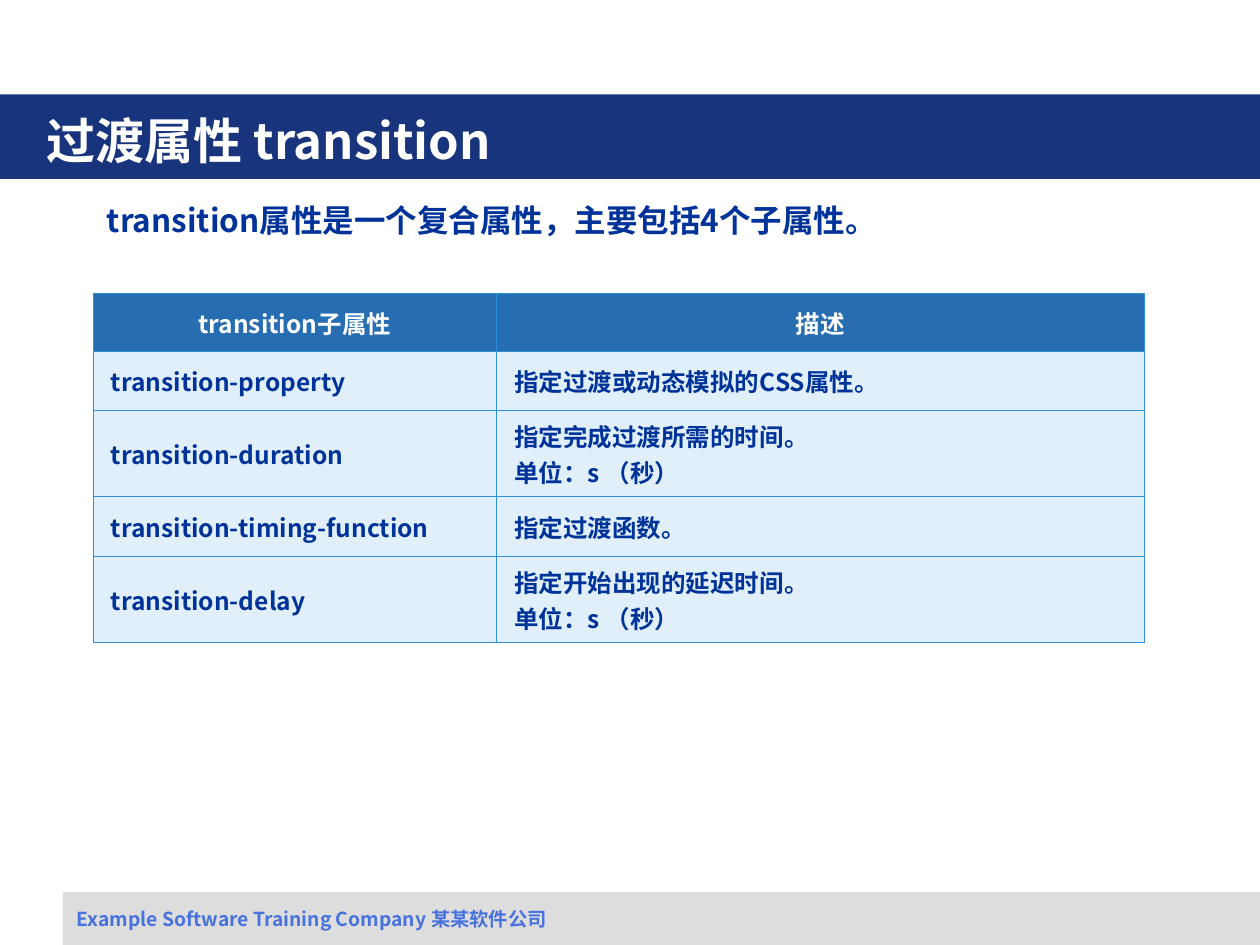
from dataclasses import dataclass

from lxml import etree
from pptx import Presentation
from pptx import util as u
from pptx.dml.color import RGBColor
from pptx.enum import shapes, text
from pptx.oxml.ns import qn


@dataclass(frozen=True)
class Theme:
    font: str = "Noto Sans CJK SC"
    white: str = "FFFFFF"
    band: str = "17347D"
    footer_bar: str = "DDDDDD"
    footer_ink: str = "4872DD"
    ink: str = "003399"
    header: str = "266EB1"
    body: str = "C3E0F5"
    border: str = "2D90DA"
    title_size: int = 28
    lead_size: int = 18
    table_size: int = 14
    footer_size: int = 11


THEME = Theme()
PROPERTIES = [
    ("transition子属性", "描述"),
    ("transition-property", "指定过渡或动态模拟的CSS属性。"),
    ("transition-duration", "指定完成过渡所需的时间。\n单位：s （秒）"),
    ("transition-timing-function", "指定过渡函数。"),
    ("transition-delay", "指定开始出现的延迟时间。\n单位：s （秒）"),
]
COLUMN_WIDTHS = [3.2, 5.14]
ROW_HEIGHTS = [0.46, 0.47, 0.68, 0.48, 0.68]


def place(left, top, width, height):
    return [u.Inches(n) for n in (left, top, width, height)]


def write(frame, words, size, color, align=text.PP_ALIGN.LEFT):
    frame.text = words
    frame.word_wrap = True
    for paragraph in frame.paragraphs:
        paragraph.alignment = align
        for run in paragraph.runs:
            run.font.size = u.Pt(size)
            run.font.bold = True
            run.font.name = THEME.font
            run.font.color.rgb = RGBColor.from_string(color)
            east_asian = etree.SubElement(run.font._element, qn("a:ea"))
            east_asian.set("typeface", THEME.font)


def add_bar(slide, box, color):
    bar = slide.shapes.add_shape(shapes.MSO_SHAPE.RECTANGLE, *place(*box))
    bar.shadow.inherit = False
    bar.fill.solid()
    bar.fill.fore_color.rgb = RGBColor.from_string(color)
    bar.line.fill.background()
    return bar


def set_title(slide, band, words):
    title = slide.shapes.title
    title.left, title.top, title.width, title.height = place(0.27, 0.8, 8.26, 0.62)
    band._element.addnext(title._element)
    title.text_frame.vertical_anchor = text.MSO_ANCHOR.MIDDLE
    write(title.text_frame, words, THEME.title_size, THEME.white)


def add_text(slide, box, words, size, color):
    label = slide.shapes.add_textbox(*place(*box))
    write(label.text_frame, words, size, color)


def style_cell(cell, color, alpha=100):
    cell.fill.solid()
    cell.fill.fore_color.rgb = RGBColor.from_string(color)
    cell.vertical_anchor = text.MSO_ANCHOR.MIDDLE
    properties = cell._tc.get_or_add_tcPr()
    if alpha < 100:
        tint = properties.find(".//" + qn("a:srgbClr"))
        etree.SubElement(tint, qn("a:alpha")).set("val", str(alpha * 1000))
    for position, side in enumerate(("lnL", "lnR", "lnT", "lnB")):
        edge = etree.Element(qn("a:" + side), w=str(u.Pt(0.45)))
        fill = etree.SubElement(edge, qn("a:solidFill"))
        etree.SubElement(fill, qn("a:srgbClr")).set("val", THEME.border)
        properties.insert(position, edge)


def add_property_table(slide):
    box = place(0.74, 2.33, sum(COLUMN_WIDTHS), sum(ROW_HEIGHTS))
    table = slide.shapes.add_table(len(PROPERTIES), len(COLUMN_WIDTHS), *box).table
    for column, width in zip(table.columns, COLUMN_WIDTHS):
        column.width = u.Inches(width)
    for index, (row, entries) in enumerate(zip(table.rows, PROPERTIES)):
        row.height = u.Inches(ROW_HEIGHTS[index])
        for cell, words in zip(row.cells, entries):
            if index == 0:
                style_cell(cell, THEME.header)
                write(cell.text_frame, words, THEME.table_size, THEME.white,
                      text.PP_ALIGN.CENTER)
            else:
                style_cell(cell, THEME.body, alpha=50)
                cell.margin_left = u.Inches(0.14)
                write(cell.text_frame, words, THEME.table_size, THEME.ink)


def main():
    deck = Presentation()
    deck.slide_width, deck.slide_height = u.Inches(10), u.Inches(7.5)
    slide = deck.slides.add_slide(deck.slide_layouts[5])
    add_bar(slide, (0.5, 7.08, 9.5, 0.42), THEME.footer_bar)
    band = add_bar(slide, (0, 0.75, 10, 0.67), THEME.band)
    set_title(slide, band, "过渡属性 transition")
    add_text(slide, (0.51, 7.15, 9.13, 0.29),
             "Example Software Training Company 某某软件公司",
             THEME.footer_size, THEME.footer_ink)
    add_text(slide, (0.75, 1.55, 8.23, 1.07),
             "transition属性是一个复合属性，主要包括4个子属性。",
             THEME.lead_size, THEME.ink)
    add_property_table(slide)
    deck.save("out.pptx")


if __name__ == "__main__":
    main()
